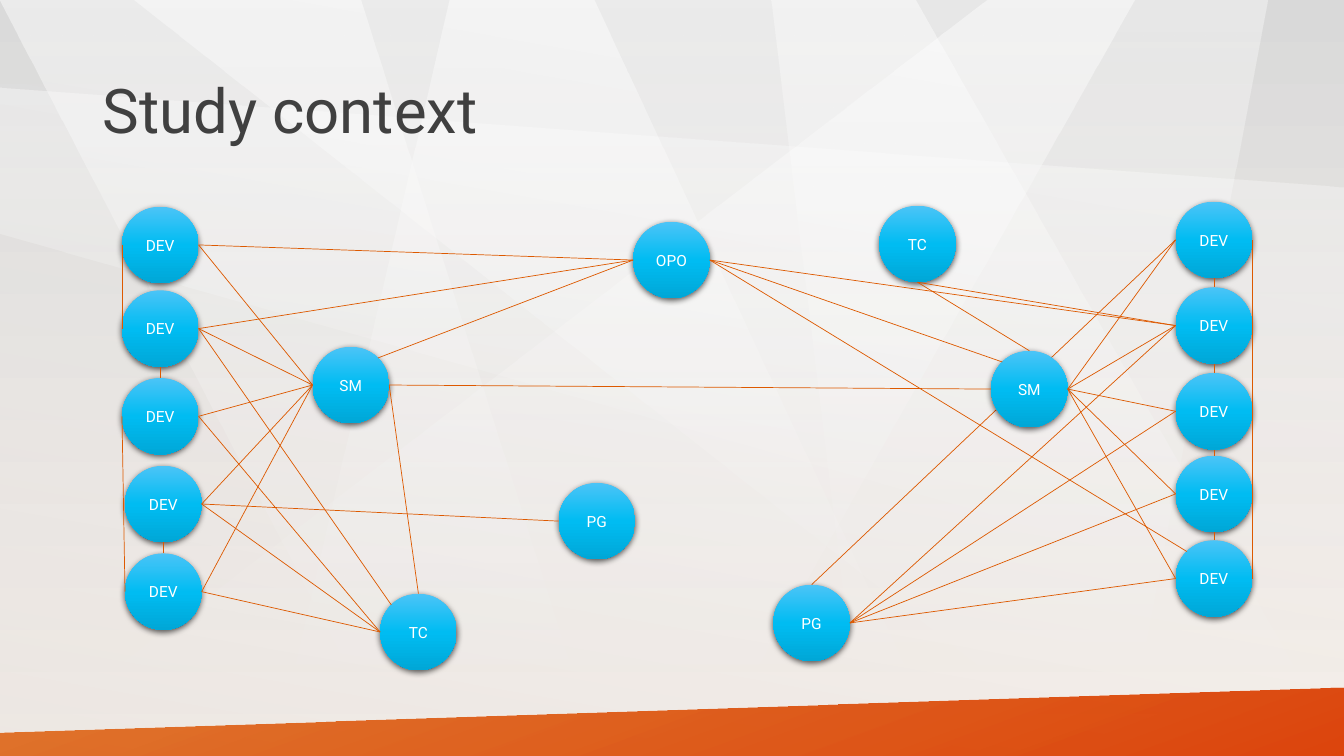
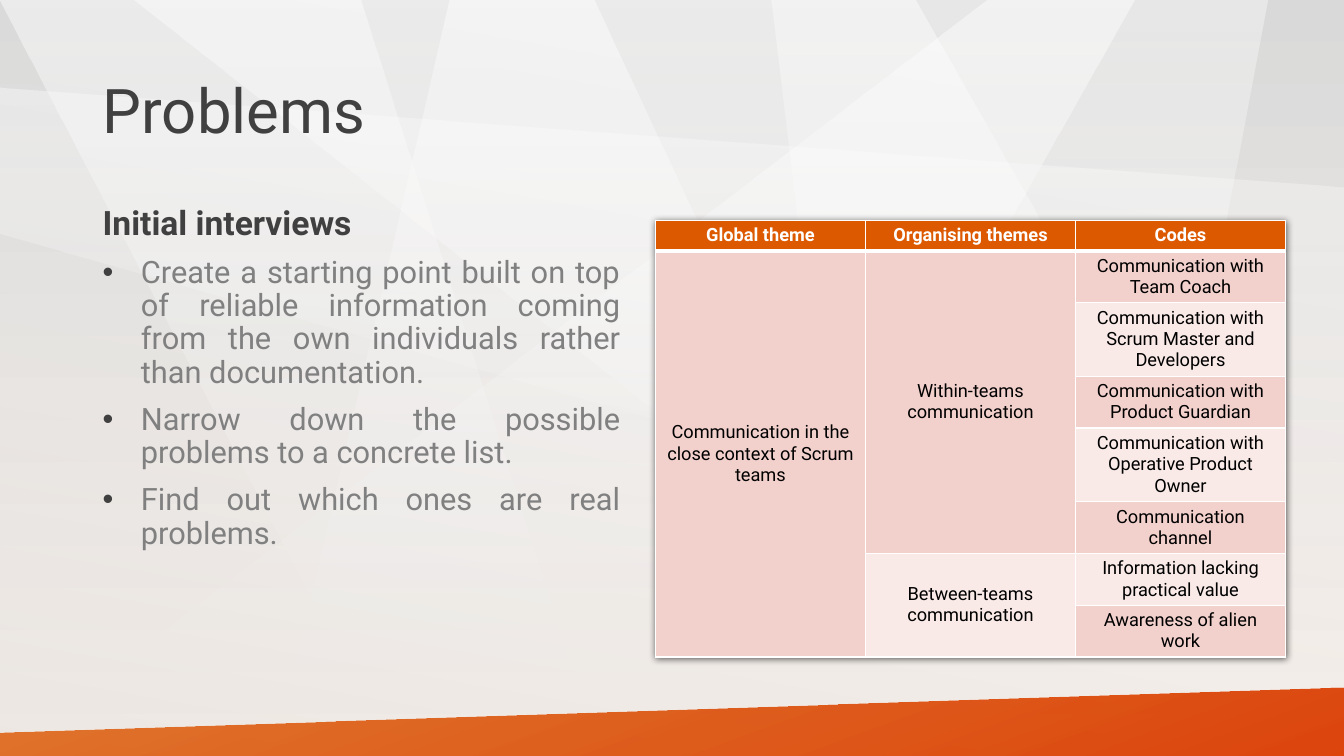
from collections import namedtuple
from math import cos, radians, sin

from lxml import etree
from pptx import Presentation
from pptx.dml.color import RGBColor
from pptx.enum.shapes import MSO_CONNECTOR, MSO_SHAPE
from pptx.enum.text import MSO_ANCHOR as Anchor, PP_ALIGN as Align
from pptx.oxml import parse_xml
from pptx.oxml.ns import nsdecls, qn
from pptx.util import Inches, Pt

Box = namedtuple("Box", "left top width height")

FONT = "Roboto"
COLORS = {
    "white": "FFFFFF", "black": "000000", "ink": "404040", "grey": "808080",
    "silver": "BFBFBF", "backdrop_top": "D9D9D9", "backdrop_end": "FCF5EF",
    "orange": "DD5900", "red": "DC3C00", "pink": "F2D1CC", "pale_pink": "F9EAE7",
    "sky": "4BC4F7", "blue": "00BCF2", "deep_blue": "00A7D7",
}
SLIDE = Box(0, 0, 13.33, 7.5)
TITLE = Box(0.92, 0.4, 11.5, 1.45)

# Light beams: opacity at the top, then the corners
BEAMS = [
    (50, [(9.79, 0), (0, 7.5), (7.01, 7.5), (11.25, 0)]),
    (50, [(0, 0), (3.58, 0), (5.94, 7.5), (3.91, 7.5)]),
    (50, [(1.32, 0), (9.07, 0), (13.33, 7.5), (10.83, 7.5)]),
    (40, [(7.65, 0), (8.56, 7.5), (11.15, 7.5), (12.57, 0)]),
    (50, [(5.89, 0), (4.46, 0), (2.72, 7.5), (9.39, 7.5)]),
    (40, [(0, 0.87), (13.33, 1.86), (13.33, 6.1), (0, 2.32)]),
]
FOOTER_BAND = [(0, 7.27), (13.33, 6.82), (13.33, 7.5), (0, 7.5)]

# Network: key -> label and centre
DIAMETER = 0.76
NODES = {
    "OPO": ("OPO", 6.66, 2.58),
    "SM1": ("SM", 3.48, 3.82), "SM2": ("SM", 10.21, 3.86),
    "PG1": ("PG", 5.92, 5.17), "PG2": ("PG", 8.05, 6.18),
    "TC1": ("TC", 4.15, 6.27), "TC2": ("TC", 9.1, 2.42),
}
LEFT_DEVS = [(1.59, 2.43), (1.59, 3.26), (1.59, 4.13), (1.62, 5), (1.62, 5.87)]
RIGHT_DEVS = [(12.04, y) for y in (2.38, 3.23, 4.08, 4.9, 5.74)]
for side, centres in (("L", LEFT_DEVS), ("R", RIGHT_DEVS)):
    for number, centre in enumerate(centres, 1):
        NODES[f"{side}{number}"] = ("DEV", *centre)

ANGLES = {"e": 0, "se": 45, "s": 90, "w": 180, "nw": 225, "n": 270, "ne": 315}
LINK_BEHIND = "R1.w PG2.n"
LINKS = (
    [f"L{n}.e SM1.w" for n in range(1, 6)]
    + [f"SM2.e R{n}.w" for n in range(1, 6)]
    + [f"R{n}.w PG2.e" for n in range(2, 6)]
    + [f"R{n}.s R{n + 1}.n" for n in range(1, 5)]
    + ["SM1.e TC1.n", "TC2.s SM2.n", "SM1.e SM2.w", "SM1.ne OPO.w",
       "L1.e OPO.w", "L2.e OPO.w", "L2.e TC1.nw", "L3.e TC1.w",
       "L4.e PG1.w", "L4.e TC1.w", "L5.e TC1.w", "R2.w TC2.s",
       "SM2.nw OPO.e", "R5.nw OPO.e", "R2.w OPO.e", "L1.w L2.w",
       "L2.s L3.n", "L5.n L4.s", "L5.w L3.w", "R5.e R1.e"]
)

HEADING = "Initial interviews"
BULLETS = [
    "Create a starting point built on top of reliable information coming "
    "from the own individuals rather than documentation.",
    "Narrow down the possible problems to a concrete list.",
    "Find out which ones are real problems.",
]
HEADERS = ["Global theme", "Organising themes", "Codes"]
CODES = [
    "Communication with Team Coach",
    "Communication with Scrum Master and Developers",
    "Communication with Product Guardian",
    "Communication with Operative Product Owner",
    "Communication channel",
    "Information lacking practical value",
    "Awareness of alien work",
]
# Merged cells: text, column, first row, last row, fill
THEMES = [
    ("Communication in the close context of Scrum teams", 0, 1, 7, "pink"),
    ("Within-teams communication", 1, 1, 5, "pink"),
    ("Between-teams communication", 1, 6, 7, "pale_pink"),
]
ROW_HEIGHTS = [0.29, 0.49, 0.7, 0.49, 0.7, 0.29, 0.49, 0.29]


def rgb(name):
    return RGBColor.from_string(COLORS[name])


def inches(box):
    return [Inches(value) for value in box]


def set_gradient(fill, owner, stops, angle):
    """Fill with (position, colour, opacity) stops, all in percent."""
    fill.gradient()
    marks = "".join(
        f'<a:gs pos="{pos * 1000}"><a:srgbClr val="{COLORS[name]}">'
        f'<a:alpha val="{opacity * 1000}"/></a:srgbClr></a:gs>'
        for pos, name, opacity in stops)
    gradient = parse_xml(
        f'<a:gradFill {nsdecls("a")} rotWithShape="1"><a:gsLst>{marks}</a:gsLst>'
        f'<a:lin ang="{angle * 60000}" scaled="0"/></a:gradFill>')
    old = next(owner.iter(qn("a:gradFill")))
    old.getparent().replace(old, gradient)


def shadow_effect(blur, distance, angle, opacity):
    return parse_xml(
        f'<a:effectLst {nsdecls("a")}><a:outerShdw blurRad="{Pt(blur)}" '
        f'dist="{Pt(distance)}" dir="{angle * 60000}" algn="ctr" rotWithShape="0">'
        f'<a:srgbClr val="{COLORS["black"]}"><a:alpha val="{opacity * 1000}"/>'
        '</a:srgbClr></a:outerShdw></a:effectLst>')


def style_text(para, size, color, bold=False, align=Align.LEFT):
    para.alignment = align
    for span in para.runs:
        span.font.name = FONT
        span.font.size = Pt(size)
        span.font.bold = bold
        span.font.color.rgb = rgb(color)


def add_outline(page, corners):
    points = [(Inches(x), Inches(y)) for x, y in corners]
    builder = page.shapes.build_freeform(*points[0])
    builder.add_line_segments(points[1:], close=True)
    return builder.convert_to_shape()


def build_backdrop(page):
    """Draw the shared backdrop and move it to the layout of the page."""
    layout = page.slide_layout
    set_gradient(layout.background.fill, layout._element,
                 [(0, "backdrop_top", 50), (100, "backdrop_end", 100)], 90)
    parts = [(add_outline(page, corners),
              [(0, "white", opacity), (100, "white", 0)], 90)
             for opacity, corners in BEAMS]
    veil = page.shapes.add_shape(MSO_SHAPE.RECTANGLE, *inches(SLIDE))
    parts.append((veil, [(0, "silver", 25), (100, "white", 0)], 280))
    parts.append((add_outline(page, FOOTER_BAND),
                  [(0, "orange", 80), (100, "red", 95)], 70))
    for shape, stops, angle in parts:
        shape.shadow.inherit = False
        shape.line.fill.background()
        set_gradient(shape.fill, shape._element, stops, angle)
        layout.shapes._spTree.append(shape._element)


def set_title(page, text):
    title = page.shapes.title
    title.left, title.top, title.width, title.height = inches(TITLE)
    title.text_frame.text = text
    title.text_frame.vertical_anchor = Anchor.MIDDLE
    para = title.text_frame.paragraphs[0]
    para.line_spacing = 0.9
    style_text(para, 44, "ink")


def add_node(page, label, x, y):
    corner = DIAMETER / 2
    node = page.shapes.add_shape(
        MSO_SHAPE.OVAL, *inches(Box(x - corner, y - corner, DIAMETER, DIAMETER)))
    node.line.fill.background()
    set_gradient(node.fill, node._element,
                 [(0, "sky", 100), (50, "blue", 100), (100, "deep_blue", 100)], 90)
    node._element.spPr.append(shadow_effect(4.5, 1.5, 90, 63))
    frame = node.text_frame
    frame.margin_left = frame.margin_right = 0
    frame.vertical_anchor = Anchor.MIDDLE
    frame.text = label
    style_text(frame.paragraphs[0], 11, "white", align=Align.CENTER)


def rim_point(end):
    """Turn 'node.side' into a point on the rim of that node."""
    key, side = end.split(".")
    _, x, y = NODES[key]
    angle = radians(ANGLES[side])
    return (Inches(x + DIAMETER / 2 * cos(angle)),
            Inches(y + DIAMETER / 2 * sin(angle)))


def add_link(page, link):
    start, end = (rim_point(part) for part in link.split())
    line = page.shapes.add_connector(MSO_CONNECTOR.STRAIGHT, *start, *end)
    line.line.color.rgb = rgb("orange")
    line.line.width = Pt(0.5)
    etree.SubElement(line._element.spPr, qn("a:effectLst"))


def add_bullet(para):
    props = para._p.get_or_add_pPr()
    props.set("marL", str(Inches(0.38)))
    props.set("indent", str(-Inches(0.38)))
    color = etree.SubElement(props, qn("a:buClr"))
    etree.SubElement(color, qn("a:srgbClr"), val=COLORS["ink"])
    etree.SubElement(props, qn("a:buFont"), typeface="Arial")
    etree.SubElement(props, qn("a:buChar"), char="•")


def add_interview_text(page, box):
    frame = page.shapes.add_textbox(*inches(box)).text_frame
    frame.word_wrap = True
    frame.text = "\n".join([HEADING, *BULLETS])
    for index, para in enumerate(frame.paragraphs):
        para.line_spacing = 0.9
        para.space_before = Pt(10)
        if index == 0:
            style_text(para, 24, "ink", bold=True, align=Align.JUSTIFY)
        else:
            style_text(para, 22, "grey", align=Align.JUSTIFY)
            add_bullet(para)


def set_borders(cell, top, bottom):
    props = cell._tc.get_or_add_tcPr()
    widths = {"lnL": 1, "lnR": 1, "lnT": top, "lnB": bottom}
    for index, (tag, width) in enumerate(widths.items()):
        props.insert(index, parse_xml(
            f'<a:{tag} {nsdecls("a")} w="{Pt(width)}"><a:solidFill>'
            f'<a:srgbClr val="{COLORS["white"]}"/></a:solidFill></a:{tag}>'))


def fill_cell(cell, row, text, fill):
    header = row == 0
    cell.text_frame.text = text
    cell.vertical_anchor = Anchor.MIDDLE
    cell.margin_left = cell.margin_right = Inches(0.07)
    cell.margin_top = cell.margin_bottom = Inches(0.04)
    cell.fill.solid()
    cell.fill.fore_color.rgb = rgb(fill)
    set_borders(cell, top=3 if row == 1 else 1, bottom=3 if header else 1)
    style_text(cell.text_frame.paragraphs[0], 13, "white" if header else "black",
               bold=header, align=Align.CENTER)


def add_theme_table(page, box):
    table = page.shapes.add_table(
        len(ROW_HEIGHTS), len(HEADERS), *inches(box)).table
    table._tbl.tblPr.insert(0, shadow_effect(5, 1, 45, 60))
    for row, height in zip(table.rows, ROW_HEIGHTS):
        row.height = Inches(height)
    for column, text in enumerate(HEADERS):
        fill_cell(table.cell(0, column), 0, text, "orange")
    for row, text in enumerate(CODES, 1):
        fill_cell(table.cell(row, 2), row, text, "pink" if row % 2 else "pale_pink")
    for text, column, first, last, fill in THEMES:
        for row in range(first, last + 1):
            fill_cell(table.cell(row, column), row, text if row == first else "", fill)
        table.cell(first, column).merge(table.cell(last, column))


def build_context(page):
    set_title(page, "Study context")
    add_link(page, LINK_BEHIND)
    for node in NODES.values():
        add_node(page, *node)
    for link in LINKS:
        add_link(page, link)


def build_problems(page):
    set_title(page, "Problems")
    add_interview_text(page, Box(0.92, 2, 5.33, 4.76))
    add_theme_table(page, Box(6.5, 2.19, 6.25, sum(ROW_HEIGHTS)))


def main():
    deck = Presentation()
    deck.slide_width, deck.slide_height = Inches(SLIDE.width), Inches(SLIDE.height)
    layout = deck.slide_layouts[5]
    context, problems = (deck.slides.add_slide(layout) for _ in range(2))
    build_backdrop(context)
    build_context(context)
    build_problems(problems)
    deck.save("out.pptx")


if __name__ == "__main__":
    main()
